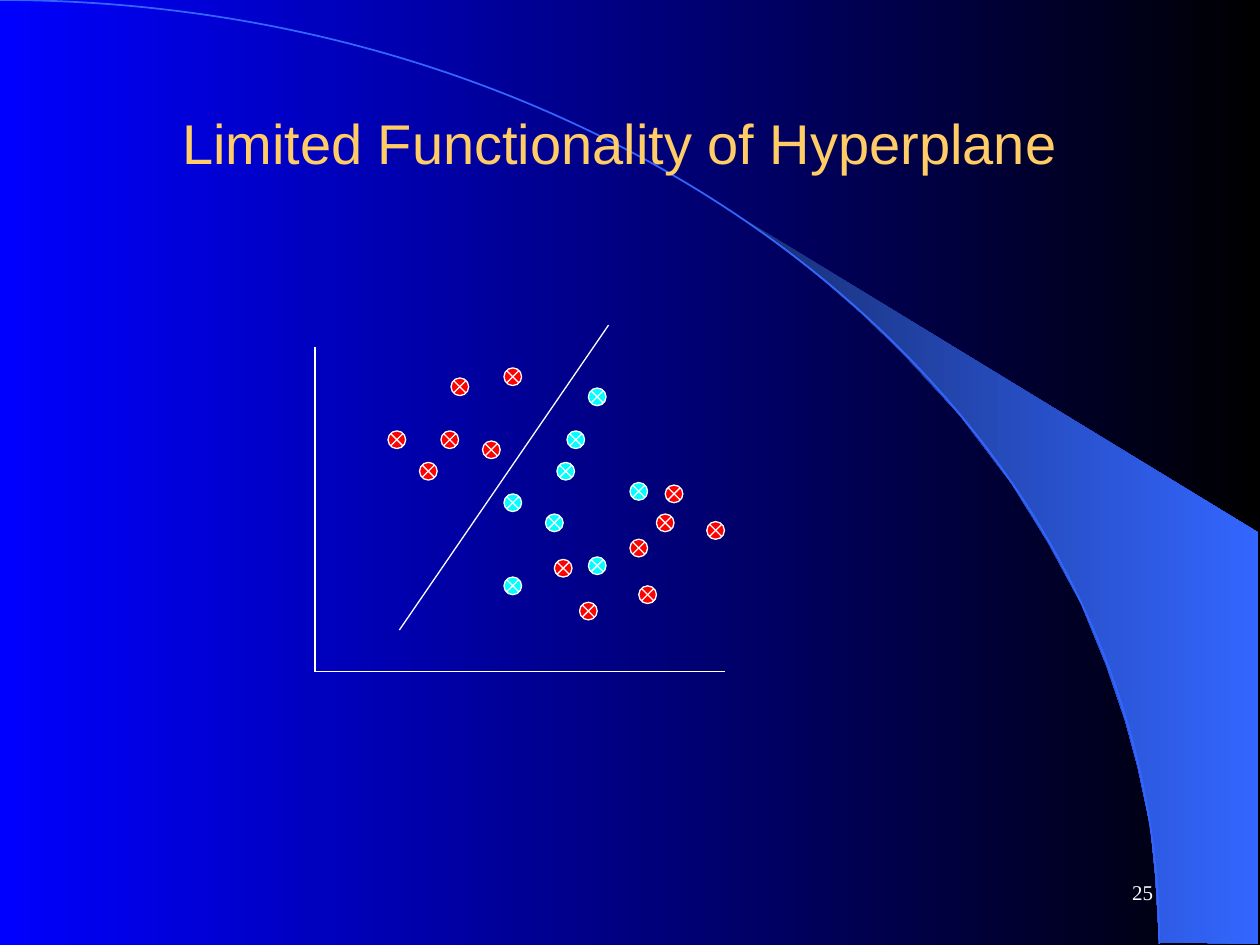
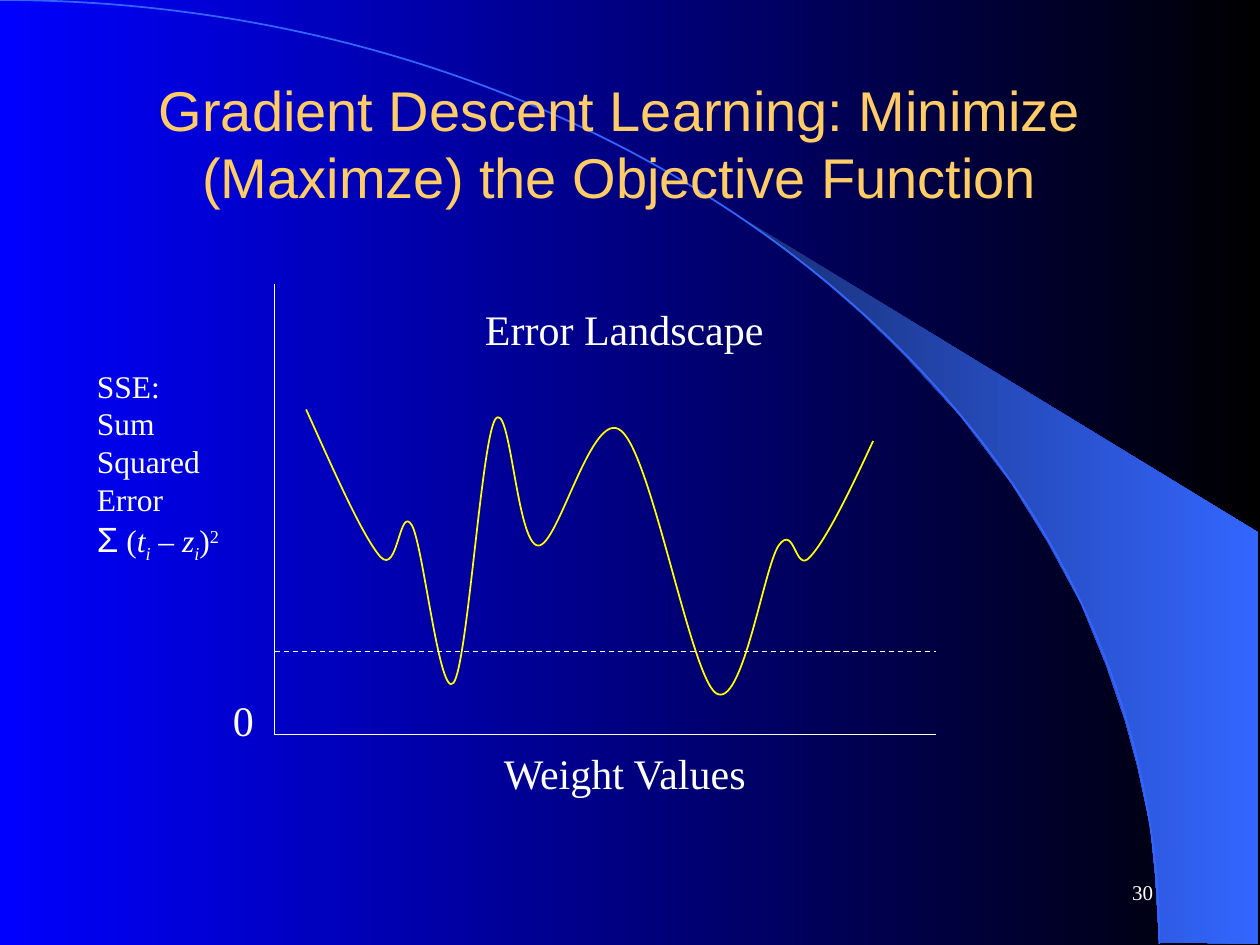
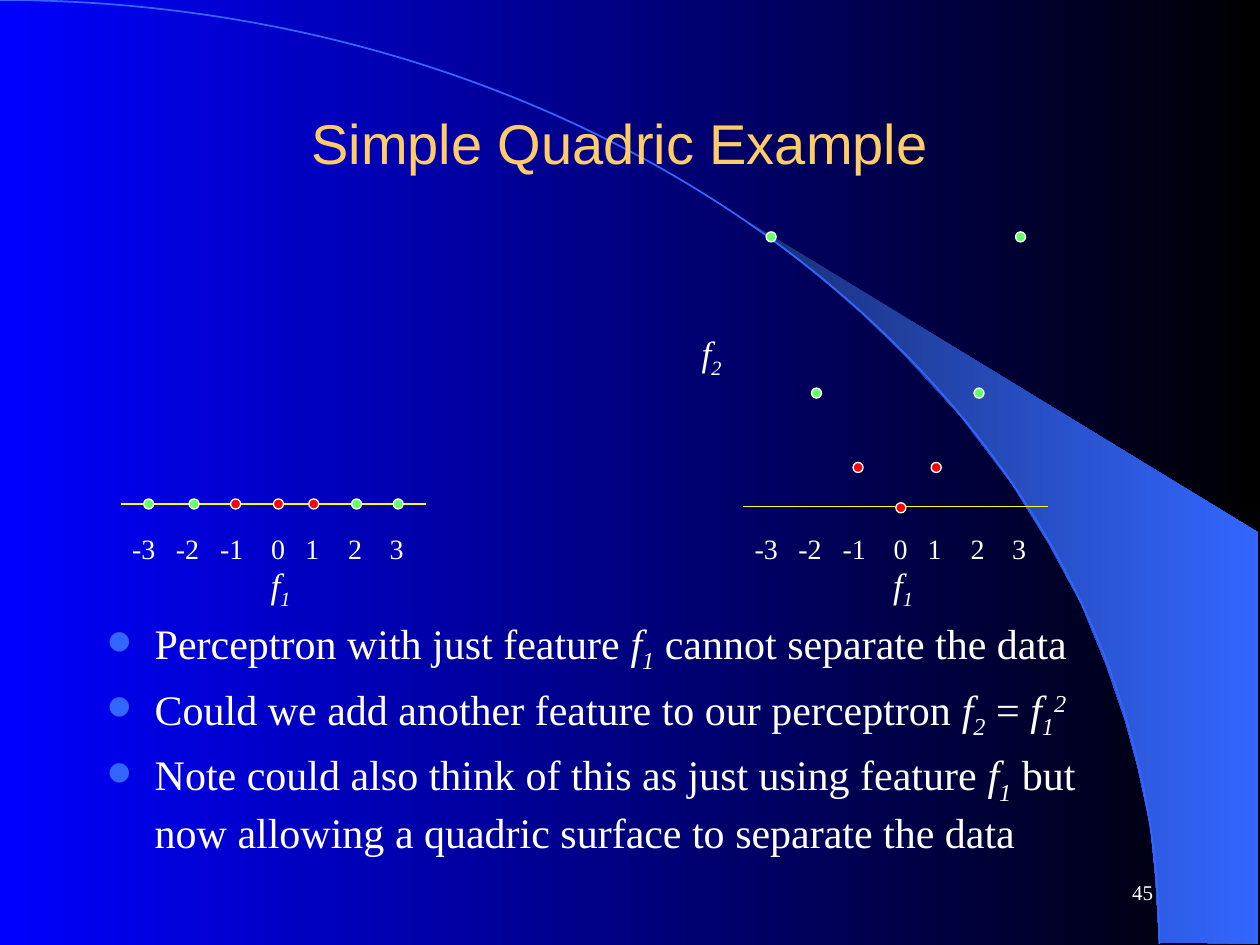
"""Builds three neural network lecture slides on a shared blue backdrop."""
import pptx
import pptx.dml.color
import pptx.enum.dml
import pptx.enum.shapes
import pptx.enum.text
import pptx.oxml
import pptx.oxml.ns
import pptx.util

SHAPES = pptx.enum.shapes.MSO_SHAPE
ALIGN = pptx.enum.text.PP_ALIGN
ANCHOR = pptx.enum.text.MSO_ANCHOR
WIDTH, HEIGHT = 10, 7.5
SERIF, SANS = "Times New Roman", "Arial"
WHITE, GOLD, YELLOW, RED = "FFFFFF", "FFCC66", "FFFF00", "FF0000"
CYAN, GREEN, SKY = "00FFFF", "66FF66", "3366FF"
BACKDROP, WEDGE_SHADE = ("0000FF", "000000"), ("182F76", SKY)
THIN = 0.75

ARC = [(0, 0), (5.08, 0), (9.2, 3.35), (9.2, 7.49)]
WEDGE = [(9.2, 7.48), (9.99, 7.49), (9.99, 4.23), (5.89, 1.73), (6.24, 1.99),
         (6.53, 2.22), (6.85, 2.5), (7.16, 2.8), (7.62, 3.3), (8.03, 3.84),
         (8.32, 4.31), (8.58, 4.79), (8.78, 5.28), (8.93, 5.72), (9.03, 6.09),
         (9.13, 6.56), (9.17, 6.96), (9.2, 7.48)]

HYPERPLANE_LINES = [((2.5, 2.75), (2.5, 5.33)), ((2.5, 5.33), (5.75, 5.33)),
                    ((3.17, 5), (4.83, 2.58))]
CLASSES = {
    CYAN: [(4.67, 3.08), (4, 3.92), (4.42, 3.67), (4.5, 3.42), (4, 4.58),
           (4.33, 4.08), (5, 3.83), (4.67, 4.42)],
    RED: [(3.33, 3.67), (3.58, 3), (5.28, 3.85), (3.83, 3.5), (3.08, 3.42),
          (4, 2.92), (3.5, 3.42), (5.61, 4.14), (5.21, 4.08), (5.07, 4.65),
          (5, 4.28), (4.6, 4.78), (4.4, 4.44)],
}

ERROR_CURVE = [(2.43, 3.25), (2.66, 3.76), (2.88, 4.26), (3.02, 4.42),
               (3.16, 4.57), (3.17, 4), (3.27, 4.17), (3.36, 4.33),
               (3.49, 5.56), (3.6, 5.42), (3.71, 5.28), (3.82, 3.51),
               (3.93, 3.33), (4.05, 3.15), (4.1, 4.32), (4.27, 4.33),
               (4.43, 4.35), (4.7, 3.22), (4.93, 3.42), (5.17, 3.61),
               (5.48, 5.35), (5.68, 5.5), (5.89, 5.65), (6.06, 4.51),
               (6.18, 4.33), (6.31, 4.15), (6.31, 4.56), (6.43, 4.42),
               (6.56, 4.28), (6.75, 3.89), (6.93, 3.5)]
ERROR_LABELS = [("0", (1.75, 5.46, 0.37, 0.5)),
                ("Error Landscape", (3.75, 2.36, 2.41, 0.5)),
                ("Weight Values", (3.9, 5.88, 2.19, 0.5))]
SSE = [["SSE:"], ["Sum Squared"], ["Error"],
       ["Σ", " (", ("t", "i"), ("i", "i_"), (" – z", "i"), ("i", "i_"), ")", ("2", "^")]]

F1 = [("f", "i"), ("1", "i_")]
F2 = [("f", "i"), ("2", "i_")]
FINDINGS = [
    ["Perceptron with just feature ", *F1, " cannot separate the data"],
    ["Could we add another feature to our perceptron ", *F2, " = ", *F1, ("2", "i^")],
    ["Note could also think of this as just using feature ", *F1,
     " but now allowing a quadric surface to separate the data"],
]
DOT_LEFTS = {-3: 1.14, -2: 1.5, -1: 1.83, 0: 2.17, 1: 2.45, 2: 2.79, 3: 3.12}
SQUARED_TOPS = {0: 3.99, 1: 3.67, 2: 3.08, 3: 1.84}
FLAT_TOPS = dict.fromkeys(SQUARED_TOPS, 3.96)
LABEL_TABS = [0.44, 0.79, 1.16, 1.43, 1.77, 2.1]
PLOTS = [(0, 4, FLAT_TOPS), (4.94, 4.02, SQUARED_TOPS)]


def inches(values):
    return [pptx.util.Inches(value) for value in values]


def color(code):
    return pptx.dml.color.RGBColor.from_string(code)


def shade(fill, ends):
    fill.gradient()
    fill.gradient_angle = 0
    for stop, code in zip(fill.gradient_stops, ends):
        stop.color.rgb = color(code)


def stroke(line, code, width=THIN):
    line.color.rgb = color(code)
    line.width = pptx.util.Pt(width)


def add_line(slide, start, end, code=WHITE, dashed=False):
    straight = pptx.enum.shapes.MSO_CONNECTOR.STRAIGHT
    connector = slide.shapes.add_connector(straight, *inches(start + end))
    stroke(connector.line, code)
    if dashed:
        connector.line.dash_style = pptx.enum.dml.MSO_LINE.DASH
    properties = connector._element.spPr
    properties.append(properties.makeelement(pptx.oxml.ns.qn("a:effectLst"), {}))


def add_dot(slide, preset, left, top, size, code):
    dot = slide.shapes.add_shape(preset, *inches((left, top, size, size)))
    dot.shadow.inherit = False
    dot.fill.solid()
    dot.fill.fore_color.rgb = color(code)
    stroke(dot.line, WHITE)


def add_outline(slide, points, close):
    start, *rest = [inches(point) for point in points]
    builder = slide.shapes.build_freeform(*start)
    builder.add_line_segments(rest, close=close)
    outline = builder.convert_to_shape()
    outline.shadow.inherit = False
    return outline


def add_curve(slide, controls, code):
    """Draws a chain of cubic curves, three points for each after the start."""
    curve = add_outline(slide, controls, close=False)
    segments = list(curve._element.iter(pptx.oxml.ns.qn("a:lnTo")))
    for first in range(0, len(segments), 3):
        cubic = segments[first].makeelement(pptx.oxml.ns.qn("a:cubicBezTo"), {})
        segments[first].addprevious(cubic)
        for segment in segments[first:first + 3]:
            cubic.append(segment[0])
            segment.getparent().remove(segment)
    curve.fill.background()
    stroke(curve.line, code, 1)


def add_run(paragraph, text, marks=""):
    run = paragraph.add_run()
    run.text = text
    if "i" in marks:
        run.font.italic = True
    for mark, baseline in (("_", "-25000"), ("^", "30000")):
        if mark in marks:
            run._r.get_or_add_rPr().set("baseline", baseline)


def add_text(slide, box, paragraphs, size, code=WHITE, face=SERIF,
             align=ALIGN.LEFT, anchor=ANCHOR.TOP, wrap=True):
    frame = slide.shapes.add_textbox(*inches(box)).text_frame
    frame.word_wrap = wrap
    frame.vertical_anchor = anchor
    for index, runs in enumerate(paragraphs):
        paragraph = frame.add_paragraph() if index else frame.paragraphs[0]
        paragraph.alignment = align
        paragraph.font.size = pptx.util.Pt(size)
        paragraph.font.name = face
        paragraph.font.color.rgb = color(code)
        for run in runs:
            add_run(paragraph, *([run] if isinstance(run, str) else run))
    return frame


def add_properties(paragraph, *fragments):
    properties = paragraph._p.get_or_add_pPr()
    for fragment in fragments:
        tag, rest = fragment.split(" ", 1)
        xml = f"<a:{tag} {pptx.oxml.ns.nsdecls('a')} {rest}"
        properties.insert_element_before(pptx.oxml.parse_xml(xml), "a:defRPr", "a:extLst")


def add_bullet(paragraph):
    paragraph.space_before = pptx.util.Pt(4.8)
    indent = pptx.util.Inches(0.38)
    properties = paragraph._p.get_or_add_pPr()
    properties.set("marL", str(indent))
    properties.set("indent", str(-indent))
    add_properties(paragraph, f'buClr ><a:srgbClr val="{SKY}"/></a:buClr>',
                   'buSzPct val="80000"/>',
                   'buFont typeface="Wingdings" pitchFamily="2" charset="2"/>',
                   'buChar char="l"/>')


def add_slide(deck, title, number):
    slide = deck.slides.add_slide(deck.slide_layouts[6])
    shade(slide.background.fill, BACKDROP)
    wedge = add_outline(slide, WEDGE, close=False)
    shade(wedge.fill, WEDGE_SHADE)
    wedge.line.fill.background()
    add_curve(slide, ARC, SKY)
    add_text(slide, (7.17, 6.83, 2.08, 0.5), [[str(number)]], 12,
             align=ALIGN.RIGHT, anchor=ANCHOR.MIDDLE)
    add_text(slide, (0.67, 0.67, 8.5, 0.92), [[title]], 32, GOLD, SANS,
             ALIGN.CENTER, ANCHOR.MIDDLE)
    return slide


def add_hyperplane(deck):
    slide = add_slide(deck, "Limited Functionality of Hyperplane", 25)
    for start, end in HYPERPLANE_LINES:
        add_line(slide, start, end)
    for code, places in CLASSES.items():
        for left, top in places:
            add_dot(slide, SHAPES.FLOWCHART_SUMMING_JUNCTION, left, top, 0.14, code)


def add_gradient_descent(deck):
    slide = add_slide(
        deck, "Gradient Descent Learning: Minimize (Maximze) the Objective Function", 30)
    left, right, floor, goal = 2.18, 7.43, 5.83, 5.17
    add_line(slide, (left, 2.25), (left, floor))
    add_line(slide, (left, floor), (right, floor))
    add_curve(slide, ERROR_CURVE, YELLOW)
    add_line(slide, (left, goal), (right, goal), dashed=True)
    formula = add_text(slide, (0.67, 2.86, 1.5, 1.65), SSE, 18).paragraphs[-1]
    sigma = formula.runs[0].font
    sigma.name, sigma.size = SANS, pptx.util.Pt(20)
    for label, box in ERROR_LABELS:
        add_text(slide, box, [[label]], 24, wrap=False)


def add_quadric(deck):
    slide = add_slide(deck, "Simple Quadric Example", 45)
    findings = add_text(slide, (0.75, 4.85, 8.5, 1.81), FINDINGS, 24)
    for paragraph in findings.paragraphs:
        add_bullet(paragraph)
    stops = "".join(f'<a:tab pos="{stop}" algn="ctr"/>' for stop in inches(LABEL_TABS))
    for shift, axis, tops in PLOTS:
        add_line(slide, (0.96 + shift, axis), (3.38 + shift, axis), YELLOW)
        ticks = add_text(slide, (0.95 + shift, 4.17, 2.52, 0.37),
                         [["\t".join(map(str, DOT_LEFTS))]], 16)
        add_properties(ticks.paragraphs[0], f"tabLst >{stops}</a:tabLst>")
        for value, left in DOT_LEFTS.items():
            add_dot(slide, SHAPES.OVAL, left + shift, tops[abs(value)], 0.08,
                    RED if abs(value) < 2 else GREEN)
        add_text(slide, (2.05 + shift, 4.42, 0.45, 0.44), [F1], 20)
    add_text(slide, (5.47, 2.58, 0.45, 0.44), [F2], 20)


def main():
    deck = pptx.Presentation()
    deck.slide_width, deck.slide_height = inches((WIDTH, HEIGHT))
    add_hyperplane(deck)
    add_gradient_descent(deck)
    add_quadric(deck)
    deck.save("out.pptx")


if __name__ == "__main__":
    main()
